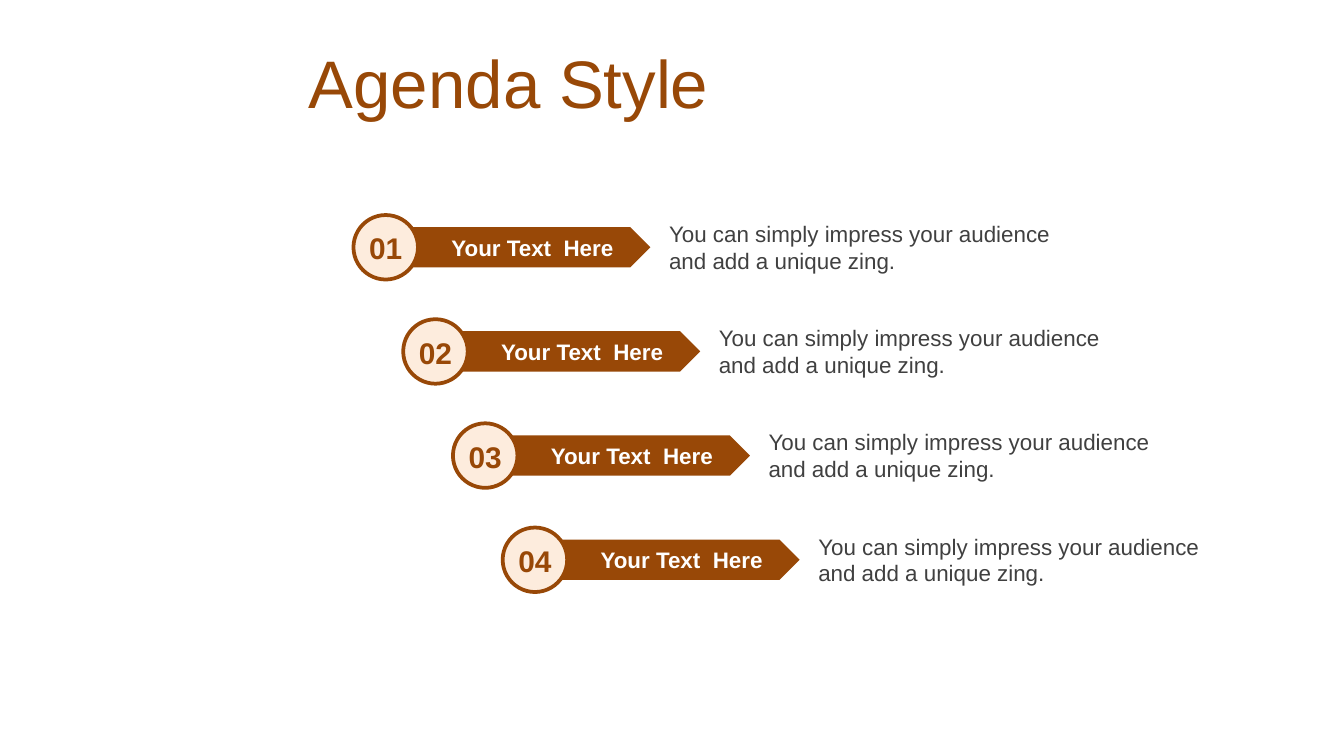
from dataclasses import dataclass

from pptx import Presentation
from pptx import util as u
from pptx.dml.color import RGBColor
from pptx.enum import shapes, text

PX = u.Inches(1) // 200


@dataclass(frozen=True)
class Theme:
    """Colours, font and type sizes of the slide."""
    brown: str = "984807"
    cream: str = "FDECDD"
    grey: str = "404040"
    white: str = "FFFFFF"
    font: str = "Arial"
    title: int = 36
    number: int = 16
    body: int = 12
    ring: int = 2


T = Theme()


def rgb(value):
    """Turn a hex string into a colour."""
    return RGBColor.from_string(value)


def emu(*lengths):
    """Turn px lengths into EMU."""
    return [n * PX for n in lengths]


def add_text(s, box, words, size, color, bold=False, align=text.PP_ALIGN.LEFT,
             anchor=text.MSO_ANCHOR.TOP, wrap=True):
    """Place one paragraph of text in a box."""
    tf = s.shapes.add_textbox(*emu(*box)).text_frame
    tf.word_wrap = wrap
    tf.vertical_anchor = anchor
    p = tf.paragraphs[0]
    p.text = words
    p.alignment = align
    p.font.name = T.font
    p.font.size = u.Pt(size)
    p.font.bold = bold
    p.font.color.rgb = rgb(color)


def add_solid(s, kind, box, fill, line=None):
    """Place a flat filled shape, outlined if a line colour is given."""
    sp = s.shapes.add_shape(kind, *emu(*box))
    sp.shadow.inherit = False
    sp.fill.solid()
    sp.fill.fore_color.rgb = rgb(fill)
    if line:
        sp.line.color.rgb = rgb(line)
        sp.line.width = u.Pt(T.ring)
    else:
        sp.line.fill.background()


def add_title(s, box, words):
    """Place the slide title."""
    add_text(s, box, words, T.title, T.brown, anchor=text.MSO_ANCHOR.MIDDLE)


def add_agenda_item(s, x, y, number, label, detail):
    """Place a numbered arrow and its description from a top left corner."""
    add_text(s, (x + 450, y, 614, 100), detail, T.body, T.grey)
    add_solid(s, shapes.MSO_SHAPE.PENTAGON, (x + 80, y + 20, 362, 60), T.brown)
    add_solid(s, shapes.MSO_SHAPE.OVAL, (x, y + 2, 96, 96), T.cream, T.brown)
    add_text(s, (x + 3, y + 14, 90, 74), number, T.number, T.brown, True,
             text.PP_ALIGN.CENTER, text.MSO_ANCHOR.MIDDLE, False)
    add_text(s, (x + 126, y + 20, 284, 60), label, T.body, T.white, True)


def add_agenda(s, x, y, count, step_x, step_y):
    """Place agenda items as a descending staircase."""
    for i in range(count):
        add_agenda_item(s, x + i * step_x, y + i * step_y, f"{i + 1:02}",
                        "Your Text  Here",
                        "You can simply impress your audience and add a unique zing.")


def main():
    """Build and save the slide."""
    prs = Presentation()
    prs.slide_width, prs.slide_height = emu(2000, 1125)
    s = prs.slides.add_slide(prs.slide_layouts[6])
    add_title(s, (440, 58, 1472, 126), "Agenda Style")
    add_agenda(s, 526, 318, 4, 74, 155)
    prs.save("out.pptx")


if __name__ == "__main__":
    main()
